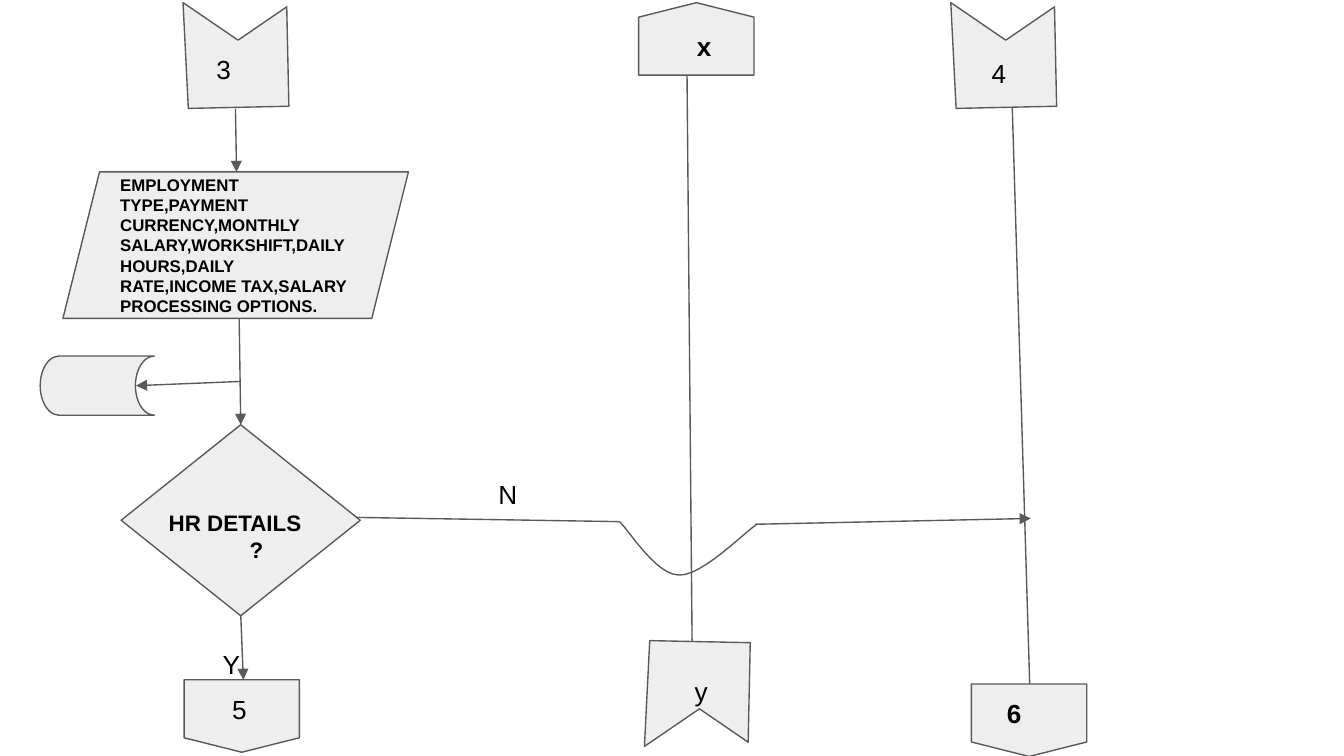
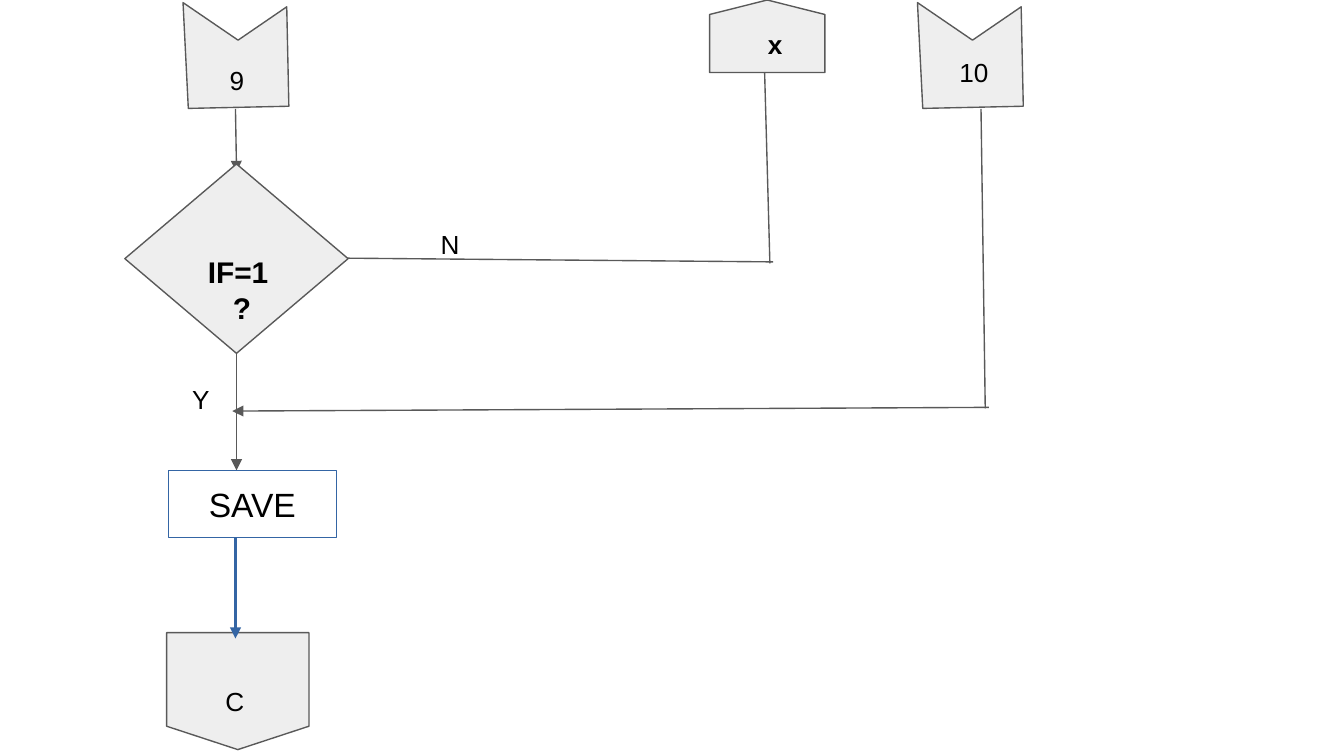
"""Builds two payroll flowchart slides with connectors, decisions and off-page links."""
from lxml import etree
from pptx import Presentation
from pptx.dml.color import RGBColor
from pptx.enum.shapes import MSO_CONNECTOR, MSO_SHAPE
from pptx.enum.text import MSO_ANCHOR, PP_ALIGN
from pptx.oxml.ns import qn
from pptx.util import Cm, Pt

STRAIGHT = MSO_CONNECTOR.STRAIGHT
OFFPAGE = MSO_SHAPE.FLOWCHART_OFFPAGE_CONNECTOR
STORAGE = MSO_SHAPE.FLOWCHART_STORED_DATA
DIAMOND = MSO_SHAPE.DIAMOND
DECISION = MSO_SHAPE.FLOWCHART_DECISION
PARALLELOGRAM = MSO_SHAPE.PARALLELOGRAM
RECTANGLE = MSO_SHAPE.RECTANGLE
MIDDLE, TOP = MSO_ANCHOR.MIDDLE, MSO_ANCHOR.TOP
LEFT, CENTER = PP_ALIGN.LEFT, PP_ALIGN.CENTER

COLORS = {"fill": "EEEEEE", "line": "595959", "text": "000000",
          "save_fill": "FFFFFF", "save_line": "3465A4"}
FONT = "Arial"
INSET = 0.25
FLAG = [(2, 1.96), (1.96, 0.08), (1.04, 0.71), (0, 0), (0.1, 2)]
LINK_SIZE = (2.18, 1.37)
ONLINE_STORAGE = "flowChartOnlineStorage"
DETAILS = ("EMPLOYMENT TYPE,PAYMENT CURRENCY,MONTHLY SALARY,WORKSHIFT,DAILY HOURS,"
           "DAILY RATE,INCOME TAX,SALARY PROCESSING OPTIONS.")

SLIDES = [
    {
        "lines": [
            (4.45, 2.06, 4.47, 3.25, True),
            (4.52, 5.94, 4.55, 8.03, True),
            (4.55, 7.21, 2.57, 7.29, True),
            (4.55, 11.63, 4.6, 12.85, True),
            (19.13, 2.01, 19.46, 12.93, False),
            (12.98, 0.97, 13.08, 12.17, False),
            (6.73, 9.78, 11.71, 9.86, False),
            (14.27, 9.91, 19.48, 9.8, True),
        ],
        "curves": [
            [(11.71, 9.86), (11.89, 10.03), (12.4, 10.87), (12.83, 10.87)],
            [(12.83, 10.87), (13.26, 10.9), (14.07, 10.06), (14.32, 9.9)],
        ],
        "flags": [(3.46, 0.05, False), (17.97, 0.05, False), (12.18, 12.11, True)],
        "shapes": [
            (STORAGE, 0.76, 6.73, 2.16, 1.12, 0, [], 0, False),
            (DIAMOND, 2.29, 8.03, 4.52, 3.61, 0, [], 0, False),
            (OFFPAGE, 3.48, 12.85, *LINK_SIZE, 0, [], 0, False),
            (PARALLELOGRAM, 1.19, 3.25, 6.53, 2.77, 0, [(DETAILS, 0)], 9, True),
            (OFFPAGE, 18.36, 12.93, *LINK_SIZE, 0, [("6", 0.42)], 14, True),
            (OFFPAGE, 12.07, 0.05, *LINK_SIZE, 180, [("x", 0.85)], 14, True),
        ],
        "labels": [
            (1.88, 9.37, 5.59, 1.52, [("HR DETAILS", 1.06), ("?", 2.59)], 12, True),
            (3.84, 0.76, 1.32, 1.09, [("3", 0)], 14, False),
            (4.14, 12.85, 0.99, 1.09, [("5", 0)], 14, False),
            (9.17, 8.79, 1.93, 1.09, [("N", 0)], 14, False),
            (18.49, 0.84, 1.32, 1.09, [("4", 0)], 14, False),
            (3.96, 12.01, 0.91, 1.09, [("Y", 0)], 14, False),
            (12.88, 12.52, 1.12, 1.09, [("y", 0)], 14, False),
        ],
    },
    {
        "lines": [
            (4.45, 2.06, 4.47, 3.25, True),
            (18.54, 2.06, 18.62, 7.72, False),
            (18.69, 7.7, 4.39, 7.77, True),
            (4.47, 6.68, 4.47, 8.89, True),
            (6.58, 4.88, 14.61, 4.95, False),
            (14.45, 1.35, 14.55, 4.98, False),
        ],
        "curves": [],
        "flags": [(3.46, 0.05, False), (17.34, 0.05, False)],
        "shapes": [
            (OFFPAGE, 3.15, 11.96, 2.69, 2.21, 0, [], 0, False),
            (DECISION, 2.36, 3.1, 4.22, 3.58, 0, [], 0, False),
            (OFFPAGE, 13.41, 0, *LINK_SIZE, 180, [("x", 0.85)], 14, True),
        ],
        "labels": [
            (4.01, 12.7, 0.86, 1.09, [("C", 0)], 14, False),
            (4.09, 0.97, 0.97, 1.09, [("9", 0)], 14, False),
            (17.88, 0.81, 1.47, 1.09, [("10", 0)], 14, False),
            (2.74, 4.55, 3.35, 1.85, [("IF=1", 0.94), ("?", 1.41)], 16, True),
            (3.38, 6.99, 0.97, 1.09, [("Y", 0)], 14, False),
            (8.08, 4.06, 1.83, 1.09, [("N", 0)], 14, False),
        ],
    },
]


def style(sp, fill="fill", line="line", width=0.75, arrow=False):
    sp.line.color.rgb = RGBColor.from_string(COLORS[line])
    sp.line.width = Pt(width)
    if hasattr(sp, "fill"):
        sp.shadow.inherit = False
        if fill:
            sp.fill.solid()
            sp.fill.fore_color.rgb = RGBColor.from_string(COLORS[fill])
        else:
            sp.fill.background()
    else:
        if arrow:
            etree.SubElement(sp.line._get_or_add_ln(), qn("a:tailEnd"), type="triangle")
        etree.SubElement(sp._element.spPr, qn("a:effectLst"))


def write(sp, lines, size, bold, anchor=TOP, align=LEFT):
    tf = sp.text_frame
    tf.word_wrap = True
    tf.vertical_anchor = anchor
    tf.margin_left = tf.margin_right = tf.margin_top = tf.margin_bottom = Cm(INSET)
    for i, (text, indent) in enumerate(lines):
        p = tf.add_paragraph() if i else tf.paragraphs[0]
        p.alignment = align
        p._p.get_or_add_pPr().set("marL", str(Cm(indent)))
        r = p.add_run()
        r.text = text
        r.font.name = FONT
        r.font.size = Pt(size)
        r.font.bold = bold
        r.font.color.rgb = RGBColor.from_string(COLORS["text"])


prs = Presentation()
prs.slide_width, prs.slide_height = Cm(25.4), Cm(14.29)

for page in SLIDES:
    s = prs.slides.add_slide(prs.slide_layouts[6])
    for x1, y1, x2, y2, arrow in page["lines"]:
        style(s.shapes.add_connector(STRAIGHT, Cm(x1), Cm(y1), Cm(x2), Cm(y2)), arrow=arrow)

    bend = []
    for curve in page["curves"]:
        for t in [step / 12 for step in range(13)]:
            weights = ((1 - t) ** 3, 3 * t * (1 - t) ** 2, 3 * t * t * (1 - t), t ** 3)
            bend.append([Cm(sum(w * c for w, c in zip(weights, axis))) for axis in zip(*curve)])
    if bend:
        builder = s.shapes.build_freeform(*bend[0])
        builder.add_line_segments(bend[1:], close=False)
        style(builder.convert_to_shape(), fill=None)

    for x, y, flipped in page["flags"]:
        pts = [(Cm(x + dx), Cm(y + (2 - dy if flipped else dy))) for dx, dy in FLAG]
        builder = s.shapes.build_freeform(*pts[0])
        builder.add_line_segments(pts[1:])
        style(builder.convert_to_shape())

    for kind, x, y, w, h, turn, lines, size, bold in page["shapes"]:
        sp = s.shapes.add_shape(kind, Cm(x), Cm(y), Cm(w), Cm(h))
        sp.rotation = turn
        style(sp)
        if lines:
            write(sp, lines, size, bold, MIDDLE)
        if turn:
            sp.text_frame._txBody.bodyPr.set("rot", str(turn * 60000))

    for x, y, w, h, lines, size, bold in page["labels"]:
        write(s.shapes.add_textbox(Cm(x), Cm(y), Cm(w), Cm(h)), lines, size, bold)

save = s.shapes.add_shape(RECTANGLE, Cm(3.18), Cm(8.89), Cm(3.18), Cm(1.27))
style(save, "save_fill", "save_line", 0)
write(save, [("SAVE", 0)], 18, False, MIDDLE, CENTER)
save.text_frame.margin_top = save.text_frame.margin_bottom = Cm(0.13)
exit_arrow = s.shapes.add_connector(STRAIGHT, Cm(4.45), Cm(10.16), Cm(4.45), Cm(12.07))
style(exit_arrow, line="save_line", width=0, arrow=True)

prs.save("out.pptx")
